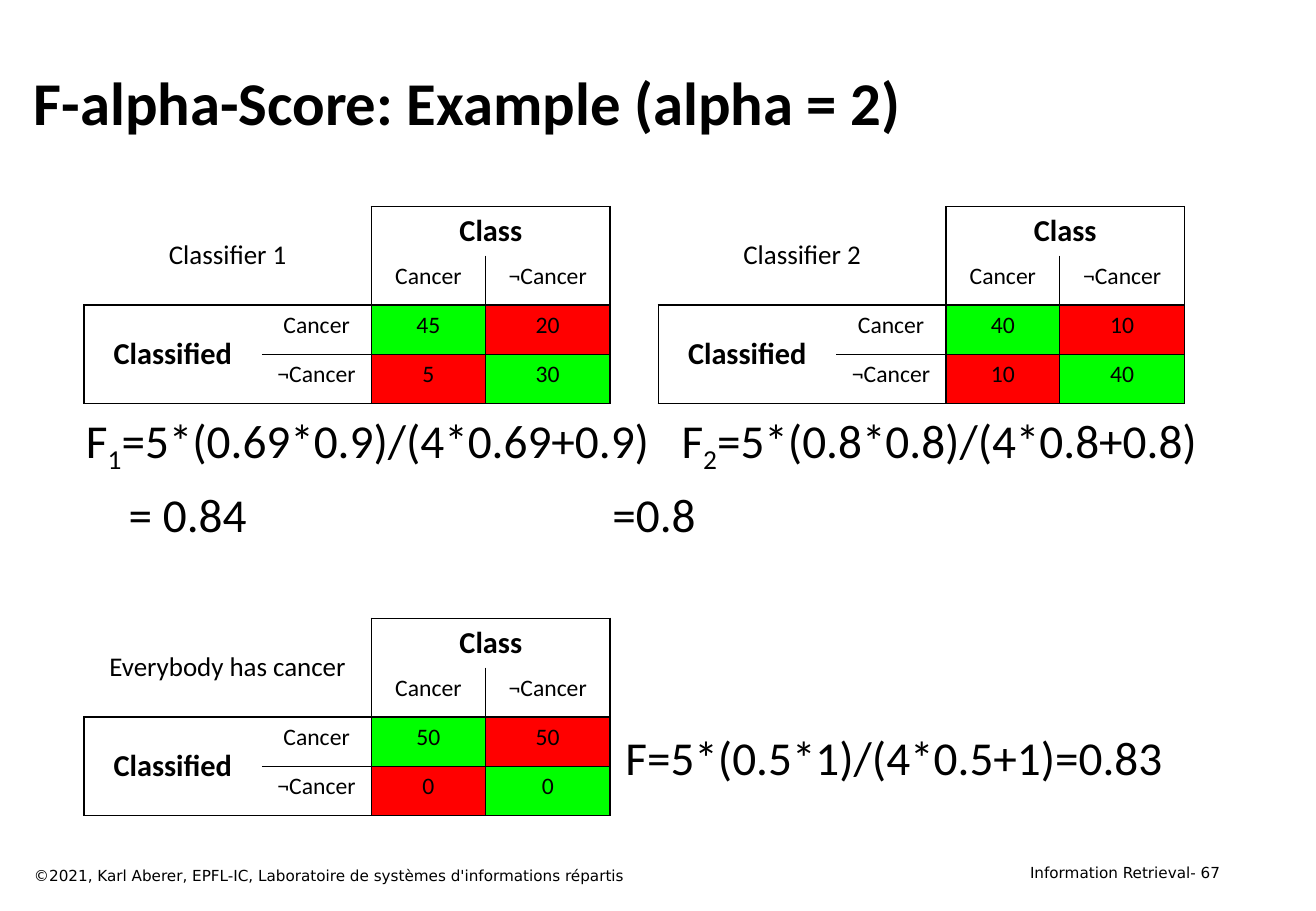
from lxml.etree import SubElement
from pptx import Presentation
from pptx.dml.color import RGBColor
from pptx.enum.text import MSO_ANCHOR, PP_ALIGN
from pptx.oxml.ns import qn
from pptx.util import Pt

COLORS = {"text": "000000", "right": "00FF00", "wrong": "FF0000"}

TITLE = "F-alpha-Score: Example (alpha = 2)"
AUTHOR = "©2021, Karl Aberer, EPFL-IC, Laboratoire de systèmes d'informations répartis"
PAGE = "Information Retrieval- 67"
EVERYBODY_SCORE = "F=5*(0.5*1)/(4*0.5+1)=0.83"
SCORES = [
    ([353], [("F", 0), ("1", -25), ("=5*(0.69*0.9)/(4*0.69+0.9)\tF", 0),
             ("2", -25), ("=5*(0.8*0.8)/(4*0.8+0.8)", 0)]),
    ([25.3, 312], [("\t= 0.84\t=0.8", 0)]),
]
CLASSIFIERS = [
    ("Classifier 1", 49.7, 122.4, [(45, 20), (5, 30)]),
    ("Classifier 2", 390.2, 122.4, [(40, 10), (10, 40)]),
    ("Everybody has cancer", 49.7, 366.5, [(50, 50), (0, 0)]),
]
LABELS = ["Cancer", "¬Cancer"]
COLS = [105.5, 65, 67.5, 74]
ROW = 29.2
EDGES = {0: (2, 3), 2: (0, 1, 2, 3), 3: (1, 2, 3), 4: (0, 1, 2, 3)}


def add_run(p, text, size, font="Calibri", bold=False):
    r = p.add_run()
    r.text = text
    r.font.size = Pt(size)
    r.font.name = font
    r.font.bold = bold
    r.font.color.rgb = RGBColor.from_string(COLORS["text"])
    return r


def add_box(s, left, top, width, height, wrap=True):
    tf = s.shapes.add_textbox(Pt(left), Pt(top), Pt(width), Pt(height)).text_frame
    tf.word_wrap = wrap
    return tf


def set_edge(cell, side, boundary, position):
    ln = SubElement(cell._tc.get_or_add_tcPr(), qn(f"a:{side}"))
    if position in EDGES.get(boundary, ()):
        ln.set("w", str(Pt(0.5 if boundary == 3 else 1)))
        fill = SubElement(ln, qn("a:solidFill"))
        SubElement(fill, qn("a:srgbClr")).set("val", COLORS["text"])
    else:
        ln.set("w", "0")
        SubElement(ln, qn("a:noFill"))


def add_matrix(s, name, left, top, counts):
    table = s.shapes.add_table(4, 4, Pt(left), Pt(top), Pt(sum(COLS)), Pt(4 * ROW)).table
    table.first_row = table.horz_banding = False
    for column, width in zip(table.columns, COLS):
        column.width = Pt(width)
    for row in table.rows:
        row.height = Pt(ROW)

    for first, last in [((0, 0), (1, 1)), ((0, 2), (0, 3)), ((2, 0), (3, 0))]:
        table.cell(*first).merge(table.cell(*last))

    texts = {(0, 0): (name, 16, False), (0, 2): ("Class", 18, True),
             (2, 0): ("Classified", 18, True)}
    for i, label in enumerate(LABELS):
        texts[1, i + 2] = texts[i + 2, 1] = (label, 14, False)
        for j, count in enumerate(counts[i]):
            texts[i + 2, j + 2] = (str(count), 14, False)

    for row in range(4):
        for col in range(4):
            cell = table.cell(row, col)
            set_edge(cell, "lnL", col, row)
            set_edge(cell, "lnR", col + cell.span_width, row)
            set_edge(cell, "lnT", row, col)
            set_edge(cell, "lnB", row + cell.span_height, col)
            if row > 1 and col > 1:
                cell.fill.solid()
                color = COLORS["right" if row == col else "wrong"]
                cell.fill.fore_color.rgb = RGBColor.from_string(color)
            else:
                cell.fill.background()
            if (row, col) in texts:
                text, size, bold = texts[row, col]
                p = cell.text_frame.paragraphs[0]
                p.alignment = PP_ALIGN.CENTER
                add_run(p, text, size, bold=bold)
                if size > 14:
                    cell.vertical_anchor = MSO_ANCHOR.MIDDLE


def add_scores(s):
    tf = add_box(s, 43.9, 240, 700, 86)
    for i, (stops, runs) in enumerate(SCORES):
        p = tf.add_paragraph() if i else tf.paragraphs[0]
        tabs = SubElement(p._p.get_or_add_pPr(), qn("a:tabLst"))
        for stop in stops:
            tab = SubElement(tabs, qn("a:tab"))
            tab.set("pos", str(Pt(stop)))
            tab.set("algn", "l")
        if i:
            p.space_before = Pt(5.6)
        for text, baseline in runs:
            r = add_run(p, text, 28)
            if baseline:
                r.font._element.set("baseline", str(baseline * 1000))


def main():
    prs = Presentation()
    prs.slide_width, prs.slide_height = Pt(780), Pt(540)
    s = prs.slides.add_slide(prs.slide_layouts[6])

    tf = add_box(s, 13, 23.8, 708.5, 72)
    tf.vertical_anchor = MSO_ANCHOR.MIDDLE
    add_run(tf.paragraphs[0], TITLE, 36, bold=True)

    for classifier in CLASSIFIERS:
        add_matrix(s, *classifier)
    add_scores(s)
    tf = add_box(s, 363.6, 428.4, 344.2, 41, wrap=False)
    add_run(tf.paragraphs[0], EVERYBODY_SCORE, 28)

    tf = add_box(s, 13, 509.8, 500.4, 18)
    add_run(tf.paragraphs[0], AUTHOR, 9, "DejaVu Sans")
    p = add_box(s, 559.4, 508.3, 170.7, 18).paragraphs[0]
    p.alignment = PP_ALIGN.RIGHT
    add_run(p, PAGE, 9, "DejaVu Sans")

    prs.save("out.pptx")


if __name__ == "__main__":
    main()
